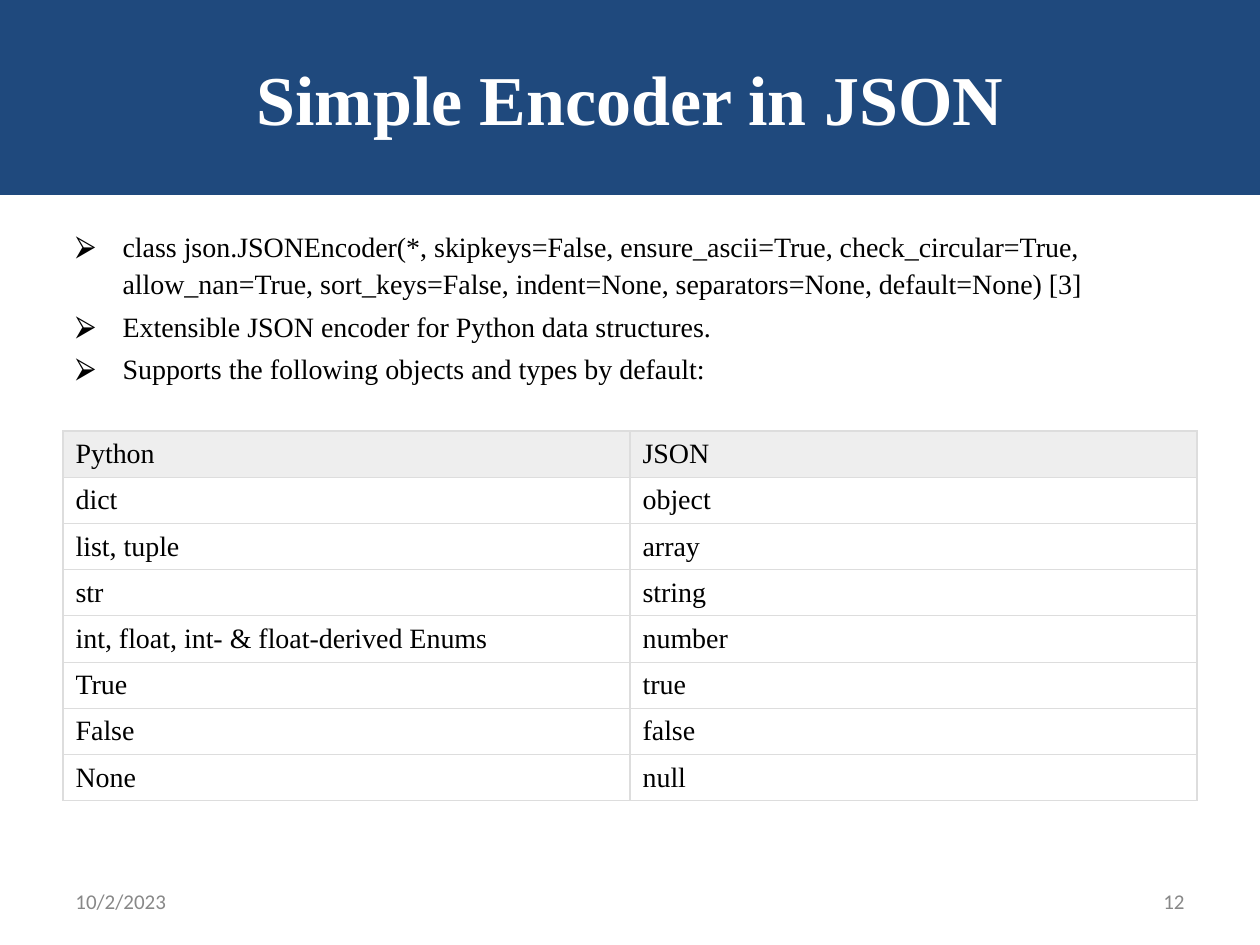
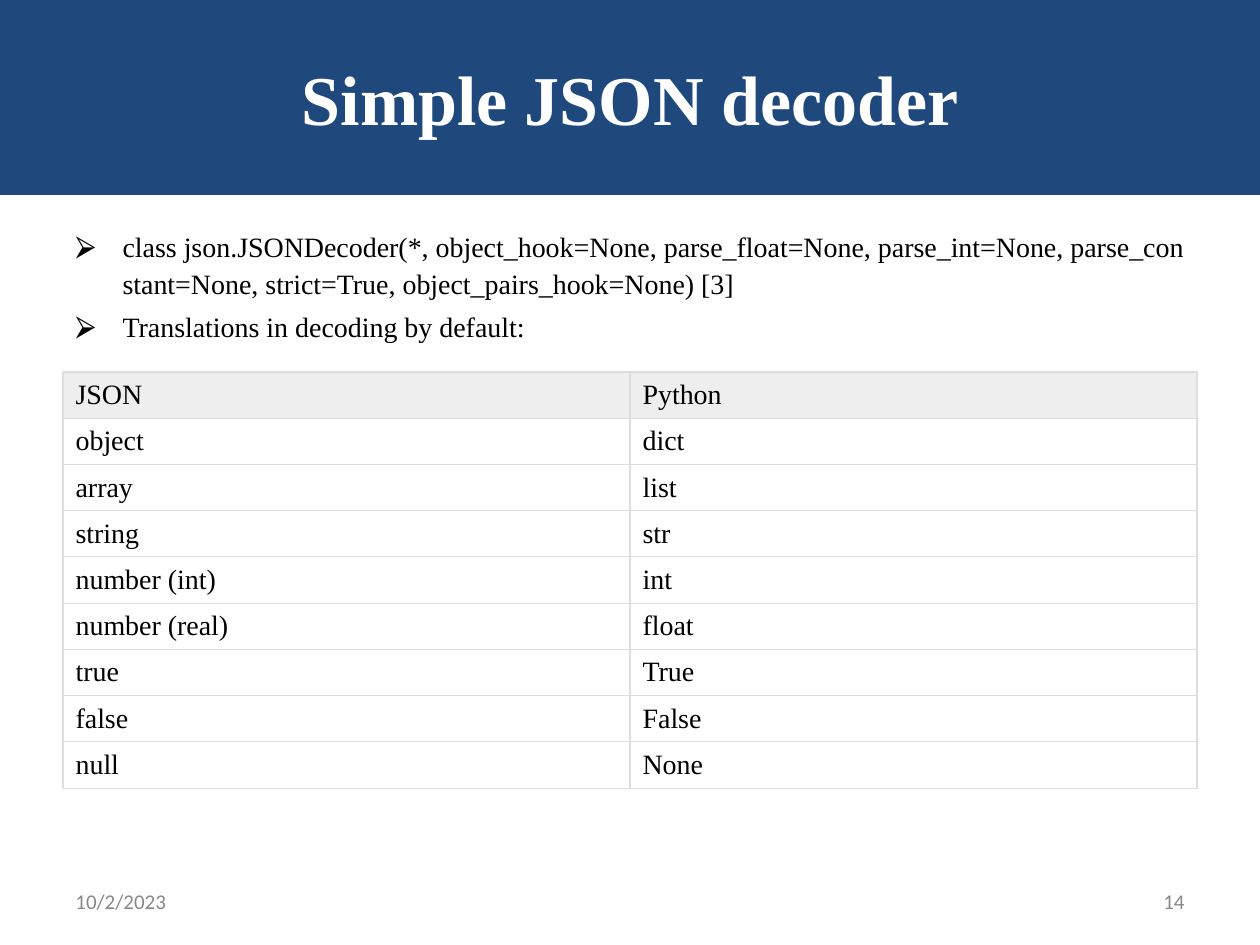
from lxml import etree
from pptx import Presentation
from pptx import util as u
from pptx.dml.color import RGBColor
from pptx.enum import text
from pptx.oxml.ns import qn

PX = u.Inches(1) / 126
COLORS = {
    "band": "1F497D",
    "title": "FFFFFF",
    "ink": "000000",
    "footer": "888888",
    "header": "EEEEEE",
    "cell": "FFFFFF",
    "border": "DDDDDD",
}
SERIF, SANS = "Times New Roman", "Calibri"
SLIDE_W, SLIDE_H = 1260, 945
MARGIN, CONTENT_W = 63, 1134
BAND_H, BODY_TOP = 195, 220
ROW_H, INDENT = 43, 47
FOOTER_TOP, FOOTER_W, FOOTER_H = 876, 294, 50
DATE = "10/2/2023"
NBSP = chr(160)


def px(n):
    return u.Emu(round(n * PX))


def color(name):
    return RGBColor.from_string(COLORS[name])


def add_bullet(p):
    """Give the paragraph a hanging arrowhead bullet."""
    pPr = p._p.get_or_add_pPr()
    pPr.set("marL", str(px(INDENT)))
    pPr.set("indent", str(-px(INDENT)))
    clr = etree.SubElement(pPr, qn("a:buClr"))
    etree.SubElement(clr, qn("a:srgbClr"), val=COLORS["ink"])
    etree.SubElement(pPr, qn("a:buFont"), typeface=SERIF)
    etree.SubElement(pPr, qn("a:buChar"), char="⮚")


def add_borders(cell):
    tcPr = cell._tc.get_or_add_tcPr()
    for i, side in enumerate(("lnL", "lnR", "lnT", "lnB")):
        ln = etree.Element(qn(f"a:{side}"), w=str(u.Pt(0.75)))
        fill = etree.SubElement(ln, qn("a:solidFill"))
        etree.SubElement(fill, qn("a:srgbClr"), val=COLORS["border"])
        tcPr.insert(i, ln)


class Deck:
    """Holds the presentation, its style and the current slide."""

    def __init__(self):
        self.prs = Presentation()
        self.prs.slide_width, self.prs.slide_height = px(SLIDE_W), px(SLIDE_H)
        self.slide = None

    def new_slide(self, title, number):
        self.slide = self.prs.slides.add_slide(self.prs.slide_layouts[1])
        self.title(title)
        self.footer(DATE, MARGIN, text.PP_ALIGN.LEFT)
        self.footer(number, MARGIN + CONTENT_W - FOOTER_W, text.PP_ALIGN.RIGHT)

    def place(self, sp, left, top, width, height):
        sp.left, sp.top, sp.width, sp.height = map(px, (left, top, width, height))

    def style(self, p, size, ink="ink", font=SERIF, bold=False):
        for r in p.runs:
            r.font.size, r.font.name, r.font.bold = u.Pt(size), font, bold
            r.font.color.rgb = color(ink)

    def title(self, words):
        sp = self.slide.shapes.title
        self.place(sp, 0, 0, SLIDE_W, BAND_H)
        sp.fill.solid()
        sp.fill.fore_color.rgb = color("band")
        tf = sp.text_frame
        tf.text = words
        tf.auto_size = text.MSO_AUTO_SIZE.NONE
        tf.vertical_anchor = text.MSO_ANCHOR.MIDDLE
        tf.paragraphs[0].alignment = text.PP_ALIGN.CENTER
        self.style(tf.paragraphs[0], 40, "title", bold=True)

    def bullets(self, items, height):
        sp = self.slide.placeholders[1]
        self.place(sp, MARGIN, BODY_TOP, CONTENT_W, height)
        tf = sp.text_frame
        tf.text = "\n".join(items)
        tf.auto_size = text.MSO_AUTO_SIZE.NONE
        for i, p in enumerate(tf.paragraphs):
            p.space_before = u.Pt(3.2 if i else 0)
            p.line_spacing = 1.1
            add_bullet(p)
            self.style(p, 16)

    def table(self, rows, top):
        """Draw rows of equal columns; the first row is the header."""
        cols = len(rows[0])
        frame = self.slide.shapes.add_table(
            len(rows), cols, px(MARGIN), px(top), px(CONTENT_W), px(ROW_H * len(rows)))
        for i, row in enumerate(rows):
            for j, words in enumerate(row):
                cell = frame.table.cell(i, j)
                cell.text = words
                cell.vertical_anchor = text.MSO_ANCHOR.MIDDLE
                cell.fill.solid()
                cell.fill.fore_color.rgb = color("cell" if i else "header")
                add_borders(cell)
                self.style(cell.text_frame.paragraphs[0], 16)

    def footer(self, words, left, align):
        sp = self.slide.shapes.add_textbox(
            px(left), px(FOOTER_TOP), px(FOOTER_W), px(FOOTER_H))
        tf = sp.text_frame
        tf.word_wrap = True
        tf.vertical_anchor = text.MSO_ANCHOR.MIDDLE
        tf.text = words
        tf.paragraphs[0].alignment = align
        self.style(tf.paragraphs[0], 12, "footer", SANS)


def main():
    deck = Deck()

    deck.new_slide("Simple Encoder in JSON", "12")
    deck.bullets([
        "class json.JSONEncoder(*, skipkeys=False, ensure_ascii=True, "
        "check_circular=True, allow_nan=True, sort_keys=False, indent=None, "
        "separators=None, default=None) [3]",
        "Extensible JSON encoder for Python data structures.",
        "Supports the following objects and types by default:",
    ], 693)
    deck.table([
        ("Python", "JSON"),
        ("dict", "object"),
        ("list, tuple", "array"),
        ("str", "string"),
        ("int, float, int- & float-derived Enums", "number"),
        ("True", "true"),
        ("False", "false"),
        ("None", "null"),
    ], 431)

    deck.new_slide("Simple JSON decoder", "14")
    signature = ("class json.JSONDecoder(*, object_hook=None, parse_float=None, "
                 "parse_int=None, parse_constant=None, strict=True, "
                 "object_pairs_hook=None)")
    deck.bullets([
        signature.replace(" ", NBSP) + " [3]",
        "Translations in decoding by default:",
    ], 624)
    deck.table([
        ("JSON", "Python"),
        ("object", "dict"),
        ("array", "list"),
        ("string", "str"),
        ("number (int)", "int"),
        ("number (real)", "float"),
        ("true", "True"),
        ("false", "False"),
        ("null", "None"),
    ], 372)

    deck.prs.save("out.pptx")


if __name__ == "__main__":
    main()
